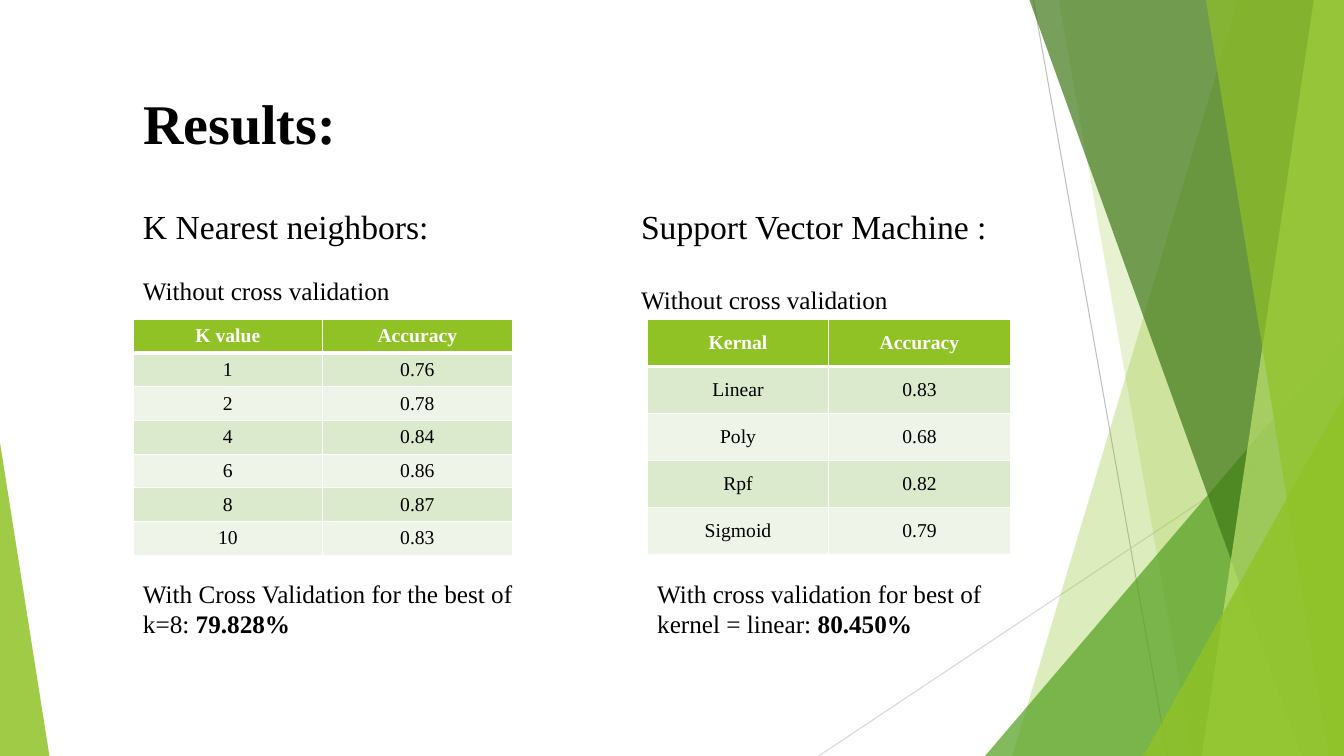
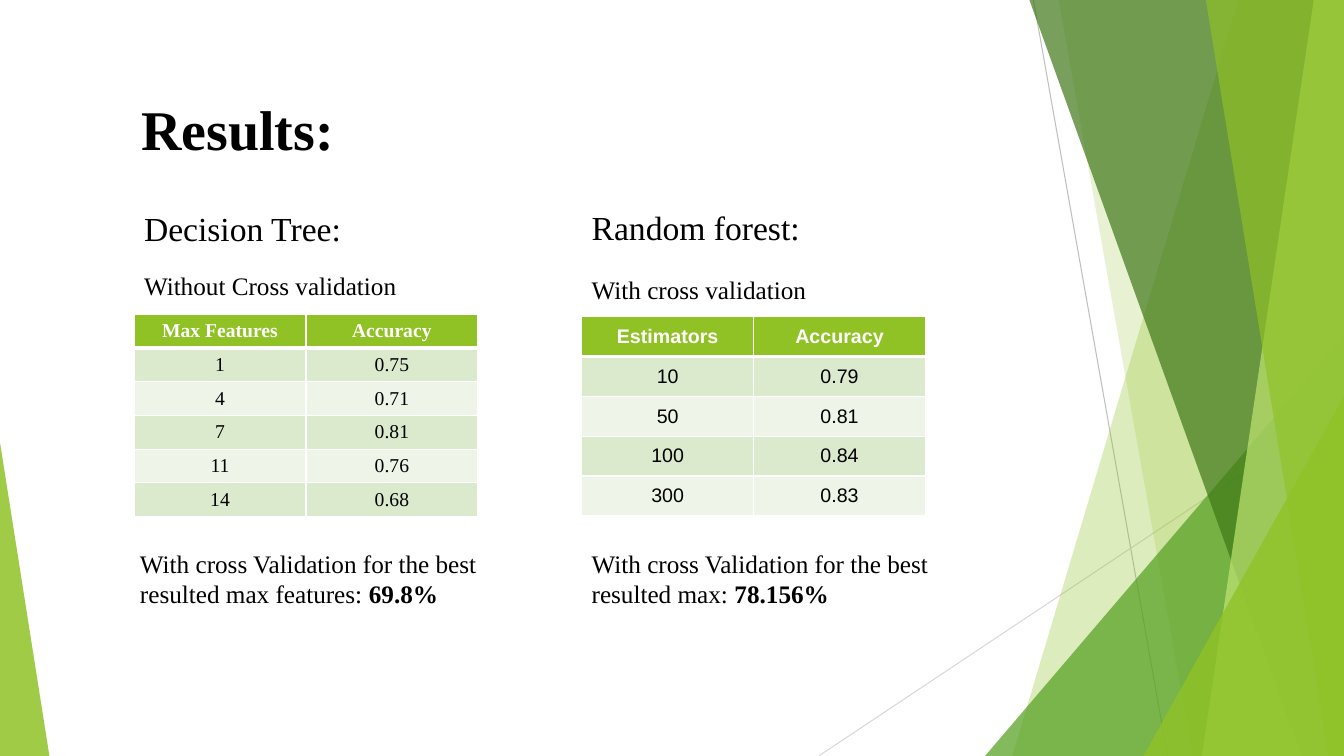
"""Build two result slides comparing classifier accuracy."""
import dataclasses

import pptx
import pptx.dml.color
import pptx.enum.shapes
import pptx.enum.text
import pptx.oxml
import pptx.oxml.ns
import pptx.util
from lxml import etree


@dataclasses.dataclass(frozen=True)
class Theme:
    width: float = 13.33
    height: float = 7.5
    serif: str = "Times New Roman"
    sans: str = "Arial"
    ink: str = "000000"
    paper: str = "FFFFFF"
    accent: str = "90C226"
    green: str = "54A021"
    dark: str = "3F7818"
    lime: str = "BFE471"
    bands: tuple = ("DBE9CD", "EEF4E8")
    title_size: int = 40
    heading_size: int = 24
    body_size: int = 18
    cell_size: int = 14
    thin: int = 1
    thick: int = 3


THEME = Theme()
TITLE_SIZE = (7.84, 0.64)

BACKDROP_LINES = [
    ((10.25, 0), (11.58, THEME.height), "BFBFBF"),
    ((THEME.width, 4.03), (8.12, THEME.height), "D8D8D8"),
]
BACKDROP_SHAPES = [
    ("blade", 12.28, 10.04, THEME.accent, 30),
    ("blade", 10.5, 11.83, THEME.accent, 20),
    ("right corner", 9.77, 3.33, THEME.green, 72),
    ("blade", 10.21, 12.91, THEME.dark, 70),
    ("blade", 13.03, 11.92, THEME.lime, 70),
    ("blade", 11.96, 13.18, THEME.accent, 65),
    ("right corner", 11.34, 3.93, THEME.accent, 80),
    ("left corner", 0.49, 4.39, THEME.accent, 85),
]

SLIDES = [
    {
        "title": ("Results:", 1.32, 0.83),
        "panels": [
            {
                "headings": [((1.32, 1.99, 3.76, 1.11), [
                    ("K Nearest neighbors:", THEME.heading_size, 0),
                    ("Without cross validation", THEME.body_size, 20.7)])],
                "table": (1.32, 3.17, 3.76, 2.33),
                "font": THEME.serif,
                "rows": [("K value", "Accuracy"), ("1", "0.76"), ("2", "0.78"),
                         ("4", "0.84"), ("6", "0.86"), ("8", "0.87"), ("10", "0.83")],
                "result": ((1.32, 5.69, 4.13, 0.71),
                           "With Cross Validation for the best of k=8: ", "79.828%"),
            },
            {
                "headings": [((6.26, 1.99, 3.76, 1.25), [
                    ("Support Vector Machine :", THEME.heading_size, 0),
                    ("Without cross validation", THEME.body_size, 27.6)])],
                "table": (6.42, 3.17, 3.6, 2.33),
                "font": THEME.serif,
                "rows": [("Kernal", "Accuracy"), ("Linear", "0.83"), ("Poly", "0.68"),
                         ("Rpf", "0.82"), ("Sigmoid", "0.79")],
                "result": ((6.42, 5.69, 3.6, 0.71),
                           "With cross validation for best of kernel = linear: ", "80.450%"),
            },
        ],
    },
    {
        "title": ("Results:", 1.3, 0.89),
        "panels": [
            {
                "headings": [((1.33, 2.01, 3.12, 1.04), [
                    ("Decision Tree:", THEME.heading_size, 0),
                    ("Without Cross validation", THEME.body_size, 16.1)])],
                "table": (1.33, 3.12, 3.41, 2),
                "font": THEME.serif,
                "rows": [("Max Features", "Accuracy"), ("1", "0.75"), ("4", "0.71"),
                         ("7", "0.81"), ("11", "0.76"), ("14", "0.68")],
                "result": ((1.29, 5.39, 3.86, 0.71),
                           "With cross Validation for the best resulted max features: ", "69.8%"),
            },
            {
                "headings": [
                    ((5.77, 2, 2.35, 0.5), [("Random forest:", THEME.heading_size, 0)]),
                    ((5.77, 2.67, 2.96, 0.4), [("With cross validation", THEME.body_size, 0)])],
                "table": (5.77, 3.14, 3.41, 1.98),
                "font": THEME.sans,
                "rows": [("Estimators", "Accuracy"), ("10", "0.79"), ("50", "0.81"),
                         ("100", "0.84"), ("300", "0.83")],
                "result": ((5.77, 5.39, 3.86, 0.71),
                           "With cross Validation for the best resulted max: ", "78.156%"),
            },
        ],
    },
]


def inches(*lengths):
    return [pptx.util.Inches(length) for length in lengths]


def color(value):
    return pptx.dml.color.RGBColor.from_string(value)


def apply_format(target, values):
    for name, value in values.items():
        setattr(target, name, value)


def add_run(paragraph, text, size, ink=THEME.ink, bold=False, font=THEME.serif):
    run = paragraph.add_run()
    run.text = text
    apply_format(run.font, {"name": font, "size": pptx.util.Pt(size), "bold": bold})
    run.font.color.rgb = color(ink)


def draw_backdrop(slide):
    for start, end, ink in BACKDROP_LINES:
        line = slide.shapes.add_connector(
            pptx.enum.shapes.MSO_CONNECTOR.STRAIGHT, *inches(*start, *end))
        line.line.color.rgb = color(ink)
        line.line.width = pptx.util.Pt(0.75)
        etree.SubElement(line.element.spPr, pptx.oxml.ns.qn("a:effectLst"))
    for kind, first, second, fill, opacity in BACKDROP_SHAPES:
        if kind == "blade":
            corners = [(first, 0), (THEME.width, 0),
                       (THEME.width, THEME.height), (second, THEME.height)]
            points = [tuple(inches(*corner)) for corner in corners]
            builder = slide.shapes.build_freeform(*points[0])
            builder.add_line_segments(points[1:], close=True)
            shape = builder.convert_to_shape()
        else:
            on_right = kind == "right corner"
            left, width = (first, THEME.width - first) if on_right else (0, first)
            shape = slide.shapes.add_shape(
                pptx.enum.shapes.MSO_SHAPE.ISOSCELES_TRIANGLE,
                *inches(left, second, width, THEME.height - second))
            shape.adjustments[0] = 1 if on_right else 0
        shape.shadow.inherit = False
        shape.fill.solid()
        shape.fill.fore_color.rgb = color(fill)
        shape.line.fill.background()
        solid = shape.element.spPr.find(".//" + pptx.oxml.ns.qn("a:srgbClr"))
        etree.SubElement(solid, pptx.oxml.ns.qn("a:alpha"), val=str(opacity * 1000))


def set_title(slide, text, left, top):
    title = slide.shapes.title
    box = inches(left, top, *TITLE_SIZE)
    apply_format(title, dict(zip(("left", "top", "width", "height"), box)))
    apply_format(title.text_frame, {
        "word_wrap": True,
        "auto_size": pptx.enum.text.MSO_AUTO_SIZE.NONE,
        "vertical_anchor": pptx.enum.text.MSO_ANCHOR.TOP,
    })
    paragraph = title.text_frame.paragraphs[0]
    paragraph.alignment = pptx.enum.text.PP_ALIGN.LEFT
    add_run(paragraph, text, THEME.title_size, bold=True)


def add_text(slide, box):
    frame = slide.shapes.add_textbox(*inches(*box)).text_frame
    apply_format(frame, {
        "word_wrap": True,
        "auto_size": pptx.enum.text.MSO_AUTO_SIZE.SHAPE_TO_FIT_TEXT,
    })
    return frame


def set_borders(cell, row):
    properties = cell._tc.get_or_add_tcPr()
    heavy_side = {0: "lnB", 1: "lnT"}.get(row)
    for position, side in enumerate(("lnL", "lnR", "lnT", "lnB")):
        points = THEME.thick if side == heavy_side else THEME.thin
        border = etree.Element(pptx.oxml.ns.qn("a:" + side), w=str(pptx.util.Pt(points)))
        fill = etree.SubElement(border, pptx.oxml.ns.qn("a:solidFill"))
        etree.SubElement(fill, pptx.oxml.ns.qn("a:srgbClr"), val=THEME.paper)
        properties.insert(position, border)


def add_accuracy_table(slide, box, rows, font):
    table = slide.shapes.add_table(len(rows), len(rows[0]), *inches(*box)).table
    for row, values in enumerate(rows):
        header = row == 0
        table.rows[row].height = pptx.util.Inches(box[3] / len(rows))
        for column, value in enumerate(values):
            cell = table.cell(row, column)
            cell.vertical_anchor = pptx.enum.text.MSO_ANCHOR.MIDDLE
            cell.fill.solid()
            cell.fill.fore_color.rgb = color(
                THEME.accent if header else THEME.bands[(row - 1) % 2])
            set_borders(cell, row)
            paragraph = cell.text_frame.paragraphs[0]
            paragraph.alignment = pptx.enum.text.PP_ALIGN.CENTER
            add_run(paragraph, value, THEME.cell_size,
                    THEME.paper if header else THEME.ink, header, font)


def add_panel(slide, panel):
    for box, lines in panel["headings"]:
        frame = add_text(slide, box)
        for index, (text, size, gap) in enumerate(lines):
            paragraph = frame.add_paragraph() if index else frame.paragraphs[0]
            paragraph.space_before = pptx.util.Pt(gap)
            add_run(paragraph, text, size)
    add_accuracy_table(slide, panel["table"], panel["rows"], panel["font"])
    box, text, score = panel["result"]
    paragraph = add_text(slide, box).paragraphs[0]
    add_run(paragraph, text, THEME.body_size)
    add_run(paragraph, score, THEME.body_size, bold=True)


def main():
    presentation = pptx.Presentation()
    width, height = inches(THEME.width, THEME.height)
    apply_format(presentation, {"slide_width": width, "slide_height": height})
    for content in SLIDES:
        slide = presentation.slides.add_slide(presentation.slide_layouts[5])
        draw_backdrop(slide)
        set_title(slide, *content["title"])
        for panel in content["panels"]:
            add_panel(slide, panel)
    presentation.save("out.pptx")


if __name__ == "__main__":
    main()
